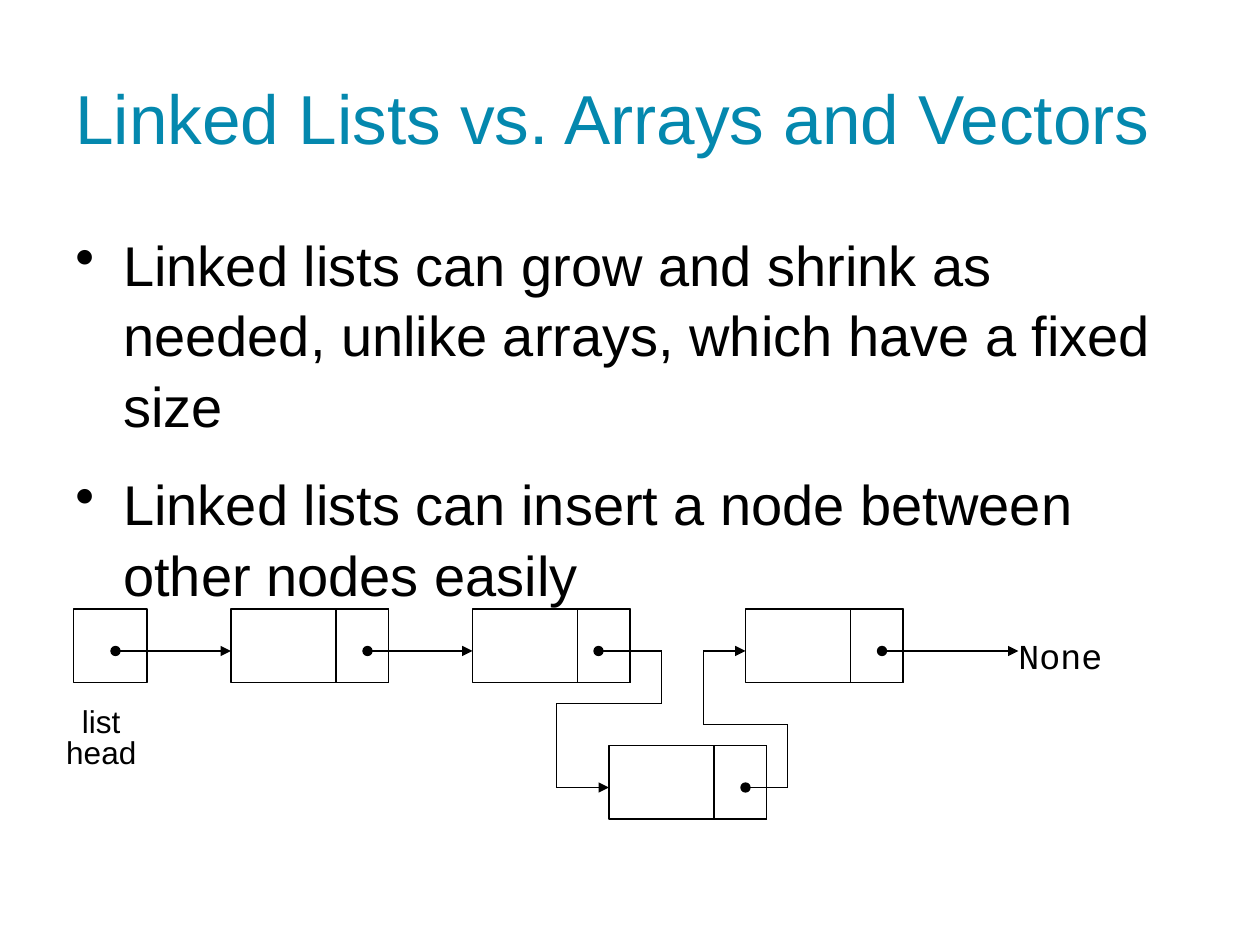
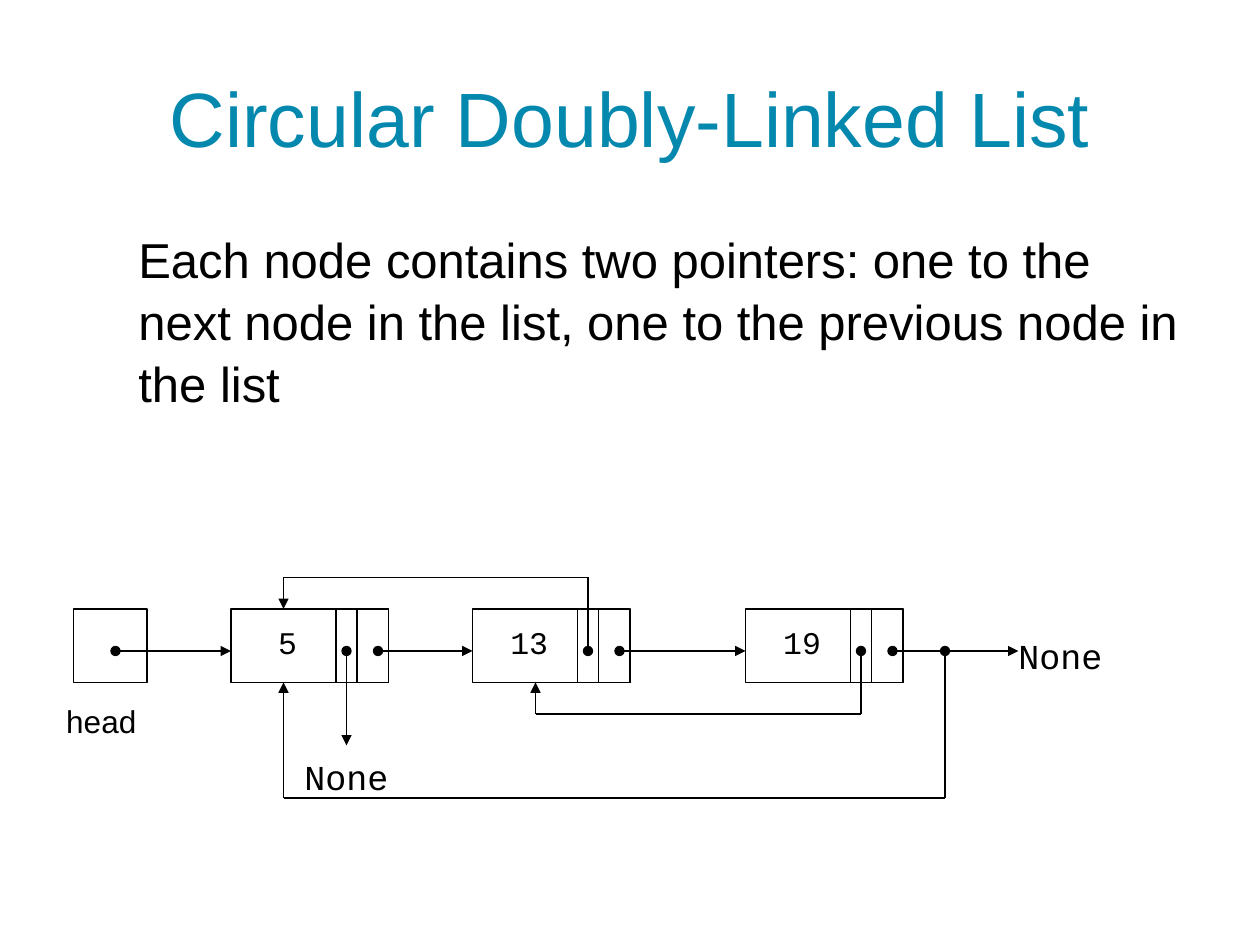
import pptx
import pptx.dml.color
import pptx.enum.shapes
import pptx.enum.text
import pptx.oxml.ns
import pptx.util
from dataclasses import dataclass
from itertools import pairwise
from lxml import etree

Inches = pptx.util.Inches
ALIGN = pptx.enum.text.PP_ALIGN


@dataclass(frozen=True)
class Theme:
    title_color: str = "0488AE"
    ink: str = "000000"
    body_font: str = "Arial"
    code_font: str = "Courier New"
    long_title_size: float = 39.6
    title_size: float = 44
    bullet_size: float = 32
    note_size: float = 28
    none_size: float = 20
    label_size: float = 18
    line_width: float = 0.75
    body_spacing: float = 1.05


THEME = Theme()
TITLE_BOX = (0.5, 0.3, 9, 1.25)

# Diagram lengths are counted in grid steps of a twelfth of an inch
STEP = Inches(1) / 12
DIAGRAM_ORIGIN = (7, 58)
NODE_WIDTH, NODE_HEIGHT = 15, 7
LINK_WIDTH, PREVIOUS_WIDTH = 5, 2
NODE_LEFTS = (15, 38, 64)
POINTER_Y = 4
NONE_X = 90


def color(value):
    return pptx.dml.color.RGBColor.from_string(value)


def add_element(parent, tag, **attributes):
    element = etree.SubElement(parent, pptx.oxml.ns.qn(tag))
    for name, value in attributes.items():
        element.set(name, value)
    return element


def style_font(paragraph, name, size, ink=THEME.ink):
    paragraph.font.name = name
    paragraph.font.size = pptx.util.Pt(size)
    paragraph.font.color.rgb = color(ink)


# Title and body text

def add_text_box(slide, box, lines):
    frame = slide.shapes.add_textbox(*map(Inches, box)).text_frame
    frame.word_wrap = True
    frame.text = "\n".join(lines)
    return frame


def add_title(slide, box, text, size, alignment):
    frame = add_text_box(slide, box, [text])
    frame.vertical_anchor = pptx.enum.text.MSO_ANCHOR.MIDDLE
    paragraph = frame.paragraphs[0]
    paragraph.alignment = alignment
    style_font(paragraph, THEME.body_font, size, THEME.title_color)


def add_body(slide, box, lines, size, indent, bullet=None):
    frame = add_text_box(slide, box, lines)
    for index, paragraph in enumerate(frame.paragraphs):
        paragraph.line_spacing = THEME.body_spacing
        if index:
            paragraph.space_before = pptx.util.Pt(size / 2)
        properties = paragraph._p.get_or_add_pPr()
        properties.set("marL", str(Inches(indent)))
        if bullet:
            properties.set("indent", str(-Inches(indent)))
            add_element(properties, "a:buChar", char=bullet)
        style_font(paragraph, THEME.body_font, size)


# Linked-list diagrams

class Diagram:
    """Draws list parts at grid positions relative to its origin."""

    def __init__(self, slide, origin):
        self.shapes = slide.shapes
        self.left, self.top = origin

    def place(self, x, y):
        return round((self.left + x) * STEP), round((self.top + y) * STEP)

    def add_cell(self, x, y, width):
        size = round(width * STEP), round(NODE_HEIGHT * STEP)
        cell = self.shapes.add_shape(
            pptx.enum.shapes.MSO_SHAPE.RECTANGLE, *self.place(x, y), *size)
        cell.shadow.inherit = False
        cell.fill.background()
        cell.line.color.rgb = color(THEME.ink)
        cell.line.width = pptx.util.Pt(THEME.line_width)

    def add_node(self, x, y=0, doubly=False):
        self.add_cell(x, y, NODE_WIDTH)
        link_x = x + NODE_WIDTH - LINK_WIDTH
        self.add_cell(link_x, y, LINK_WIDTH)
        if doubly:
            self.add_cell(link_x, y, PREVIOUS_WIDTH)

    def add_pointer(self, *points):
        """Joins the points: a dot at the first, an arrow at the last."""
        segments = list(pairwise(points))
        for index, (start, end) in enumerate(segments):
            connector = self.shapes.add_connector(
                pptx.enum.shapes.MSO_CONNECTOR.STRAIGHT,
                *self.place(*start), *self.place(*end))
            connector.line.color.rgb = color(THEME.ink)
            connector.line.width = pptx.util.Pt(THEME.line_width)
            line = connector.line._get_or_add_ln()
            if index == 0:
                add_element(line, "a:headEnd", type="oval")
            if index == len(segments) - 1:
                add_element(line, "a:tailEnd", type="triangle")
            add_element(connector._element.spPr, "a:effectLst")

    def add_level_pointer(self, start, end):
        self.add_pointer((start, POINTER_Y), (end, POINTER_Y))

    def add_label(self, center, y, lines, font, size, spacing):
        width, height = 11, 6
        box = self.shapes.add_textbox(
            *self.place(center - width / 2, y),
            round(width * STEP), round(height * STEP))
        frame = box.text_frame
        frame.word_wrap = False
        frame.text = "\n".join(lines)
        for paragraph in frame.paragraphs:
            paragraph.alignment = ALIGN.CENTER
            paragraph.line_spacing = spacing
            style_font(paragraph, font, size)

    def add_none(self, center, y):
        self.add_label(center, y, ["None"], THEME.code_font,
                       THEME.none_size, 1.2)

    def add_head(self, lines):
        self.add_cell(0, 0, NODE_HEIGHT)
        self.add_level_pointer(4, NODE_LEFTS[0])
        self.add_label(2.65, 9, lines, THEME.body_font, THEME.label_size, 0.8)


def draw_insertion(slide, origin):
    diagram = Diagram(slide, origin)
    first, second, third = NODE_LEFTS
    inserted_x, inserted_y = 51, 13
    inserted_pointer_y = inserted_y + POINTER_Y

    diagram.add_head(["list", "head"])
    for left in NODE_LEFTS:
        diagram.add_node(left)
    diagram.add_node(inserted_x, inserted_y)
    diagram.add_level_pointer(first + 13, second)
    diagram.add_level_pointer(third + 13, NONE_X)
    diagram.add_none(94, 1)

    # Detour through the inserted node
    diagram.add_pointer(
        (second + 12, POINTER_Y), (56, POINTER_Y), (56, 9), (46, 9),
        (46, inserted_pointer_y), (inserted_x, inserted_pointer_y))
    diagram.add_pointer(
        (inserted_x + 13, inserted_pointer_y), (68, inserted_pointer_y),
        (68, 11), (60, 11), (60, POINTER_Y), (third, POINTER_Y))


def draw_circular_list(slide, origin, values):
    diagram = Diagram(slide, origin)
    diagram.add_head(["head"])

    # Nodes and their next pointers
    for left, target, value in zip(
            NODE_LEFTS, (*NODE_LEFTS[1:], NONE_X), values):
        diagram.add_node(left, doubly=True)
        diagram.add_label(left + 5.4, 0, [value], THEME.code_font,
                          THEME.label_size, 1.2)
        diagram.add_level_pointer(left + 14, target)
    diagram.add_none(94, 1)

    # Previous pointers
    first, second, third = (left + 11 for left in NODE_LEFTS)
    first_entry, second_entry = NODE_LEFTS[0] + 5, NODE_LEFTS[1] + 6
    diagram.add_pointer((first, POINTER_Y), (first, 13))
    diagram.add_none(first, 12.6)
    diagram.add_pointer((second, POINTER_Y), (second, -3),
                        (first_entry, -3), (first_entry, 0))
    diagram.add_pointer((third, POINTER_Y), (third, 10),
                        (second_entry, 10), (second_entry, NODE_HEIGHT))

    # Link from the last node back to the first
    diagram.add_pointer((83, POINTER_Y), (83, 18),
                        (first_entry, 18), (first_entry, NODE_HEIGHT))


def build_comparison_slide(slide):
    add_title(slide, TITLE_BOX, "Linked Lists vs. Arrays and Vectors",
              THEME.long_title_size, ALIGN.LEFT)
    add_body(slide, (0.5, 1.75, 9.08, 3.08), [
        "Linked lists can grow and shrink as needed, unlike arrays, "
        "which have a fixed size",
        "Linked lists can insert a node between other nodes easily",
    ], THEME.bullet_size, 0.38, bullet="•")
    draw_insertion(slide, DIAGRAM_ORIGIN)


def build_circular_slide(slide):
    add_title(slide, TITLE_BOX, "Circular Doubly-Linked List",
              THEME.title_size, ALIGN.CENTER)
    add_body(slide, (0.5, 1.75, 9.08, 2.33), [
        "Each node contains two pointers: one to the next node in the list, "
        "one to the previous node in the list",
    ], THEME.note_size, 0.5)
    draw_circular_list(slide, DIAGRAM_ORIGIN, ("5", "13", "19"))


def main():
    presentation = pptx.Presentation()
    presentation.slide_width = Inches(10)
    presentation.slide_height = Inches(7.5)
    blank = presentation.slide_layouts[6]
    for build in (build_comparison_slide, build_circular_slide):
        build(presentation.slides.add_slide(blank))
    presentation.save("out.pptx")


if __name__ == "__main__":
    main()
